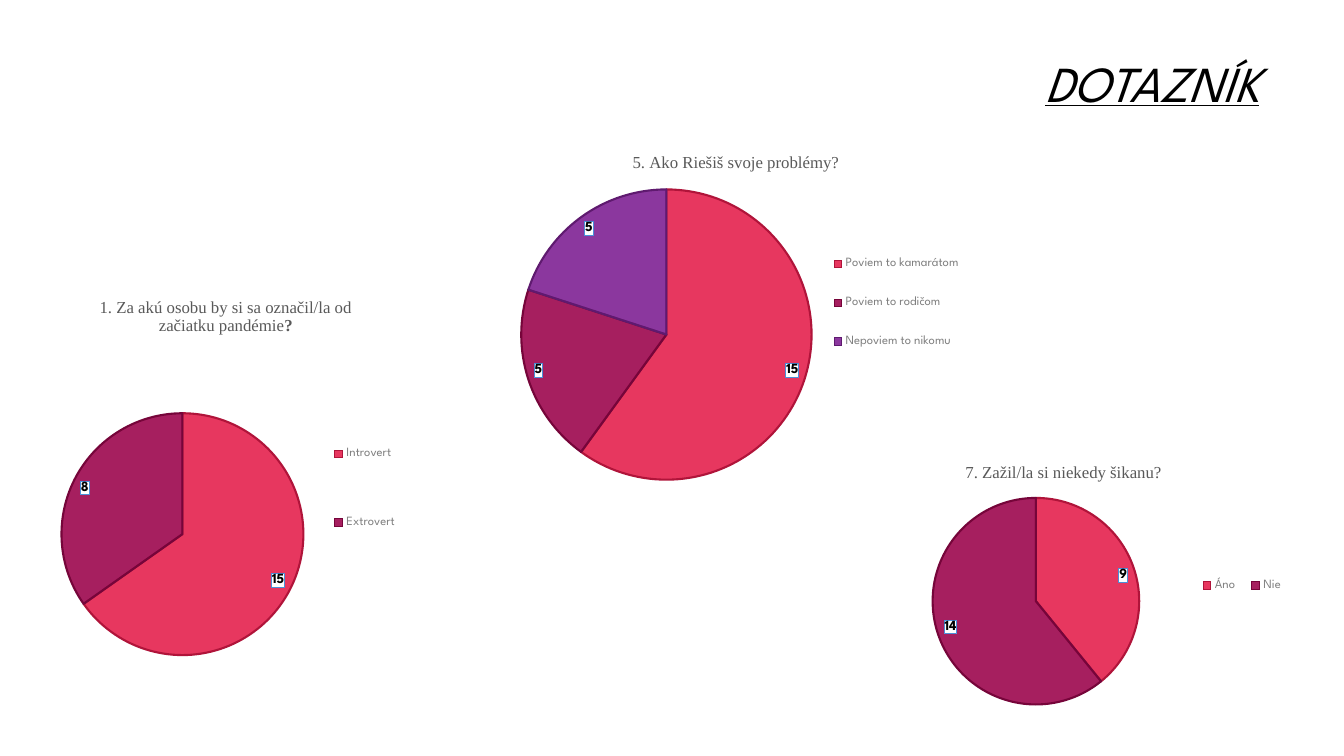
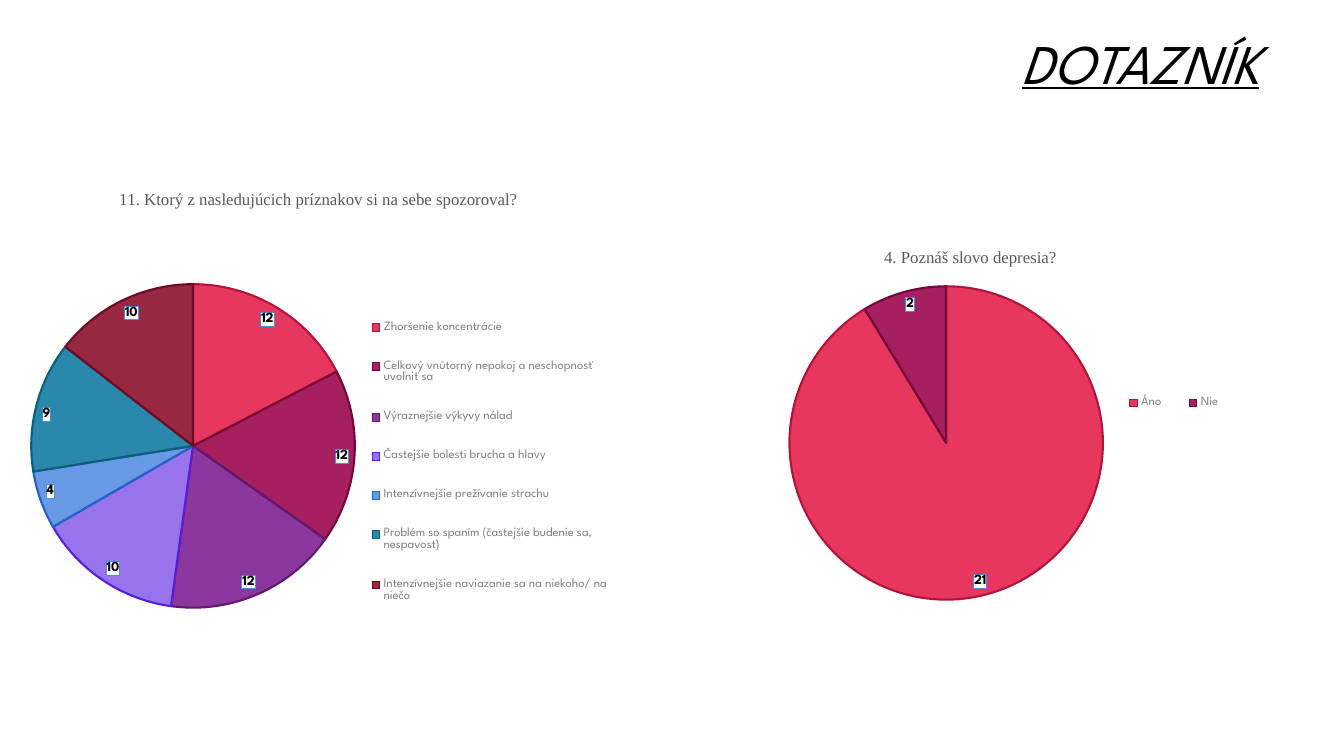
from lxml.etree import SubElement
from pptx import Presentation
from pptx.chart.data import CategoryChartData
from pptx.dml.color import RGBColor
from pptx.enum.chart import XL_CHART_TYPE, XL_LABEL_POSITION, XL_LEGEND_POSITION
from pptx.enum.text import MSO_ANCHOR, PP_ALIGN
from pptx.oxml import parse_xml
from pptx.oxml.ns import nsdecls, qn
from pptx.util import Inches, Pt

COLORS = {
    "black": "000000",
    "question": "595959",
    "legend": "808080",
    "label_fill": "FFFFFF",
    "label_line": "4A90D9",
}
SLICES = [
    ("E5224E", "B0143A"), ("9D074E", "76053A"), ("7F2294", "5F1A6F"),
    ("8D65EA", "561EDC"), ("588FE2", "2164C4"), ("127CA4", "0E5D7B"),
    ("8D112D", "6A0D22"),
]
SANS = "League Spartan"
SERIF = "Times New Roman"


class Deck:
    """Holds the questionnaire style and the slide being filled."""

    def __init__(self):
        self.prs = Presentation()
        self.prs.slide_width = Inches(13.33)
        self.prs.slide_height = Inches(7.5)
        self.s = None

    def add_slide(self):
        self.s = self.prs.slides.add_slide(self.prs.slide_layouts[6])

    def style(self, font, color, **values):
        font.color.rgb = RGBColor.from_string(COLORS[color])
        for name, value in values.items():
            setattr(font, name, value)

    def heading(self, text, top, height, size):
        sp = self.s.shapes.add_textbox(Inches(3.17), Inches(top), Inches(9.42), Inches(height))
        tf = sp.text_frame
        tf.word_wrap = True
        tf.vertical_anchor = MSO_ANCHOR.MIDDLE
        p = tf.paragraphs[0]
        p.alignment = PP_ALIGN.RIGHT
        p.line_spacing = 0.9
        r = p.add_run()
        r.text = text
        self.style(r.font, "black", name=SANS, size=Pt(size), italic=True, underline=True)

    def layout(self, frame, box, inner=False):
        left, top, width, height = frame
        x, y, w, h = box
        values = {"xMode": "edge", "yMode": "edge", "x": (x - left) / width,
                  "y": (y - top) / height, "w": w / width, "h": h / height}
        if inner:
            values = {"layoutTarget": "inner", **values}
        layout = parse_xml(f"<c:layout {nsdecls('c')}/>")
        manual = SubElement(layout, qn("c:manualLayout"))
        for tag, value in values.items():
            val = value if isinstance(value, str) else f"{value:.4f}"
            SubElement(manual, qn(f"c:{tag}")).set("val", val)
        return layout

    def question(self, chart, runs):
        p = chart.chart_title.text_frame.paragraphs[0]
        for text, bold in runs:
            r = p.add_run()
            r.text = text
            self.style(r.font, "question", name=SERIF, size=Pt(12), bold=bold)
        chart.chart_title.include_in_layout = False

    def slices(self, series):
        for i, (fill, line) in enumerate(SLICES[:len(series.values)]):
            fmt = series.points[i].format
            fmt.fill.solid()
            fmt.fill.fore_color.rgb = RGBColor.from_string(fill)
            clr = fmt.fill._xPr.find(qn("a:solidFill"))[0]
            SubElement(clr, qn("a:alpha")).set("val", "90000")
            fmt.line.color.rgb = RGBColor.from_string(line)
            fmt.line.width = Pt(1.5)

    def value_labels(self, series):
        labels = series.data_labels
        labels.show_value = True
        labels.position = XL_LABEL_POSITION.INSIDE_END
        self.style(labels.font, "black", name=SANS, size=Pt(10), bold=True)
        box = parse_xml(
            f'<c:spPr {nsdecls("c", "a")}>'
            f'<a:solidFill><a:srgbClr val="{COLORS["label_fill"]}"/></a:solidFill>'
            f'<a:ln w="9525"><a:solidFill><a:srgbClr val="{COLORS["label_line"]}"/>'
            "</a:solidFill></a:ln></c:spPr>")
        labels._element.find(qn("c:txPr")).addprevious(box)

    def legend(self, chart, frame, box):
        chart.has_legend = True
        legend = chart.legend
        legend.position = XL_LEGEND_POSITION.RIGHT
        legend.include_in_layout = False
        self.style(legend.font, "legend", name=SANS, size=Pt(9))
        legend._element.find(qn("c:legendPos")).addnext(self.layout(frame, box))

    def pie(self, frame, runs, answers, disc, legend_box):
        data = CategoryChartData()
        data.categories = list(answers)
        data.add_series("Series 1", list(answers.values()))
        chart = self.s.shapes.add_chart(
            XL_CHART_TYPE.PIE, *map(Inches, frame), data).chart
        self.style(chart.font, "black", name=SANS, size=Pt(10))
        self.question(chart, runs)
        plot = chart.plots[0]
        plot.vary_by_categories = True
        self.slices(plot.series[0])
        self.value_labels(plot.series[0])
        self.legend(chart, frame, legend_box)
        area = chart._chartSpace.chart.plotArea
        for old in area.findall(qn("c:layout")):
            area.remove(old)
        left, top, size = disc
        area.insert(0, self.layout(frame, (left, top, size, size), inner=True))


def main():
    deck = Deck()

    deck.add_slide()
    deck.heading("DOTAZNÍK", -0.1, 1.91, 36)
    deck.pie((0.28, 2.78, 3.92, 4.31),
             [("1. Za akú osobu by si sa označil/la od začiatku pandémie", False), ("?", True)],
             {"Introvert": 15, "Extrovert": 8},
             (0.61, 4.1, 2.4), (3.22, 3.88, 0.8, 1.93))
    deck.pie((4.8, 1.35, 5, 3.55),
             [("5. Ako Riešiš svoje problémy?", False)],
             {"Poviem to kamarátom": 15, "Poviem to rodičom": 5, "Nepoviem to nikomu": 5},
             (5.17, 1.88, 2.88), (8.18, 2.29, 1.42, 1.43))
    deck.pie((8.23, 4.44, 4.64, 3),
             [("7. Zažil/la si niekedy šikanu?", False)],
             {"Áno": 9, "Nie": 14},
             (9.25, 4.94, 2.05), (11.81, 5.6, 1.02, 0.42))

    deck.add_slide()
    deck.heading("DOTAZNÍK", -0.37, 2.06, 40)
    deck.pie((0.17, 1.69, 5.98, 5.05),
             [("11. Ktorý z nasledujúcich príznakov si na sebe spozoroval?", False)],
             {"Zhoršenie koncentrácie": 12,
              "Celkový vnútorný nepokoj a neschopnosť uvoľniť sa": 12,
              "Výraznejšie výkyvy nálad": 12,
              "Častejšie bolesti brucha a hlavy": 10,
              "Intenzívnejšie prežívanie strachu": 4,
              "Problém so spaním (častejšie budenie sa, nespavosť)": 9,
              "Intenzívnejšie naviazanie sa na niekoho/ na niečo": 10},
             (0.31, 2.82, 3.21), (3.59, 2.92, 2.53, 3.33))
    deck.pie((6.87, 2.29, 5.51, 3.79),
             [("4. Poznáš slovo depresia?", False)],
             {"Áno": 21, "Nie": 2},
             (7.83, 2.84, 3.11), (10.97, 3.75, 1.35, 0.5))

    deck.prs.save("out.pptx")


if __name__ == "__main__":
    main()
